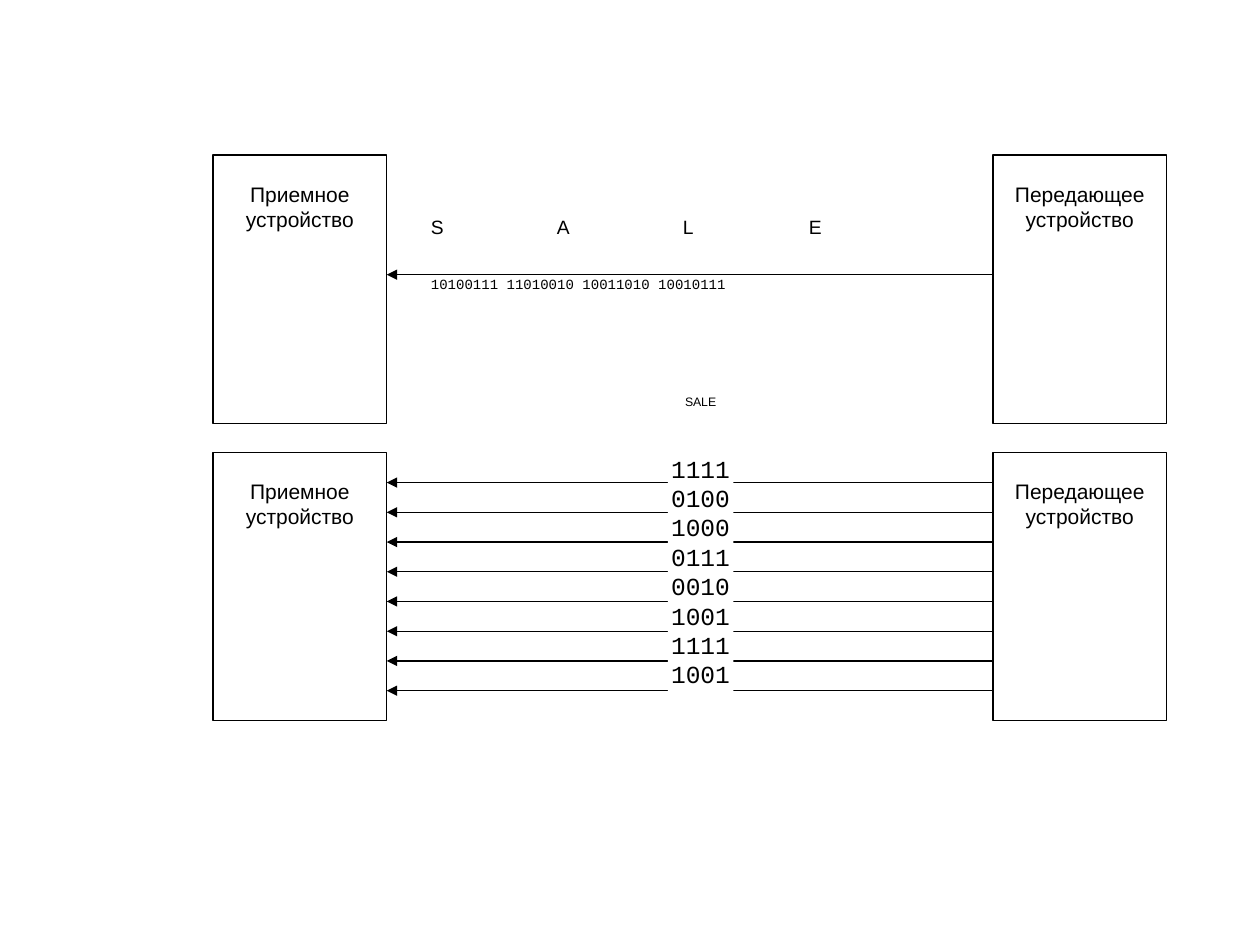
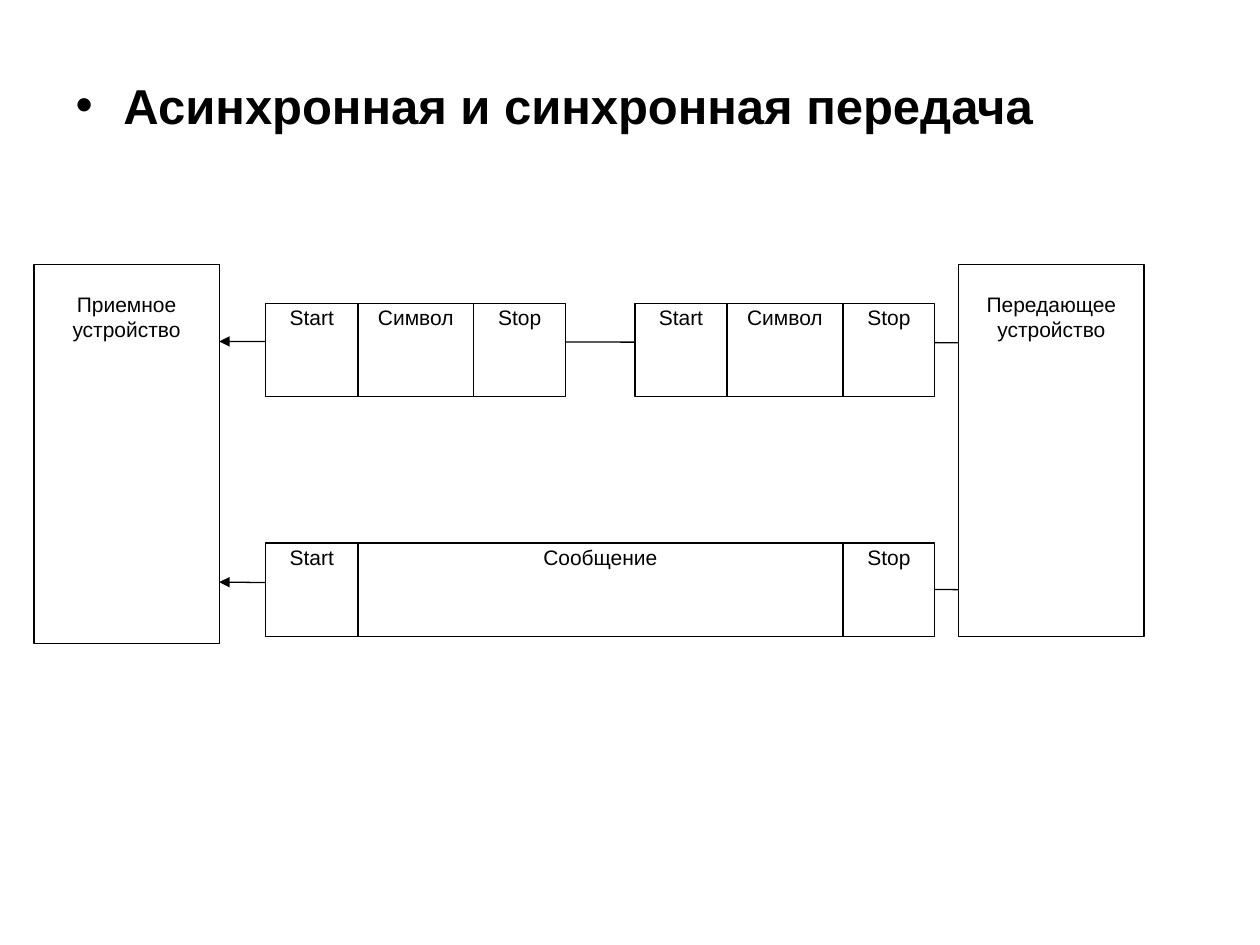
from lxml.etree import SubElement
from pptx import Presentation
from pptx.dml.color import RGBColor
from pptx.enum.shapes import MSO_CONNECTOR, MSO_SHAPE
from pptx.enum.text import MSO_ANCHOR, MSO_AUTO_SIZE, PP_ALIGN
from pptx.oxml.ns import qn
from pptx.util import Inches, Pt

BLACK, WHITE = "000000", "FFFFFF"
RECEIVER, SENDER = "Приемное устройство", "Передающее устройство"
LABEL_TOP = 0.21


def add_box(slide, box, text, size=12, font="Arial", fill=None, line=BLACK,
            align=PP_ALIGN.CENTER, inset_top=0.01):
    """Add a rectangle with top-anchored text; box is left, top, width, height in inches."""
    shape = slide.shapes.add_shape(MSO_SHAPE.RECTANGLE, *map(Inches, box))
    shape.shadow.inherit = False
    for part, colour in ((shape.fill, fill), (shape.line.fill, line)):
        if colour:
            part.solid()
            part.fore_color.rgb = RGBColor.from_string(colour)
        else:
            part.background()
    if line:
        shape.line.width = Pt(0.75)
    frame = shape.text_frame
    frame.word_wrap = True
    frame.vertical_anchor = MSO_ANCHOR.TOP
    frame.margin_left = frame.margin_right = frame.margin_bottom = Inches(0.01)
    frame.margin_top = Inches(inset_top)
    frame.text = text
    for paragraph in frame.paragraphs:
        paragraph.alignment = align
        paragraph.line_spacing = Pt(size * 1.2)
        paragraph.font.size = Pt(size)
        paragraph.font.name = font
        paragraph.font.color.rgb = RGBColor.from_string(BLACK)
    return shape


def add_arrow(slide, left, right, left_y, right_y):
    """Add a line whose arrowhead is at its left end."""
    arrow = slide.shapes.add_connector(
        MSO_CONNECTOR.STRAIGHT, *map(Inches, (left, left_y, right, right_y)))
    arrow.line.color.rgb = RGBColor.from_string(BLACK)
    arrow.line.width = Pt(0.75)
    SubElement(arrow.line._get_or_add_ln(), qn("a:headEnd"), type="triangle")
    SubElement(arrow._element.spPr, qn("a:effectLst"))


prs = Presentation()
prs.slide_width, prs.slide_height = Inches(10), Inches(7.5)

# Slide 1: serial and parallel transfer
transfer = prs.slides.add_slide(prs.slide_layouts[6])
for top in (1.23, 3.59):
    for left, device in ((1.69, RECEIVER), (7.88, SENDER)):
        add_box(transfer, (left, top, 1.38, 2.13), device, inset_top=LABEL_TOP)

add_arrow(transfer, 3.07, 7.88, 2.18, 2.18)
letters = add_box(transfer, (3.41, 1.7, 4.12, 0.47), "S\tA\tL\tE", 11,
                  line=None, align=PP_ALIGN.LEFT)
letters.text_frame.paragraphs[0]._p.get_or_add_pPr().set("defTabSz", str(Inches(1)))
add_box(transfer, (3.41, 2.18, 4.12, 0.47), "10100111 11010010 10011010 10010111",
        8, "Courier New", line=None, align=PP_ALIGN.LEFT)

bit_rows = ["1111", "0100", "1000", "0111", "0010", "1001", "1111", "1001"]
for row in range(len(bit_rows)):
    y = 3.83 + row * 0.236
    add_arrow(transfer, 3.07, 7.88, y, y)
add_box(transfer, (5.3, 3.59, 0.52, 2.13), "\n".join(bit_rows), 14, "Courier New",
        fill=WHITE, line=None)
add_box(transfer, (5.3, 3.12, 0.52, 0.47), "SALE", 7, line=None)

# Slide 2: asynchronous and synchronous transfer
framing = prs.slides.add_slide(prs.slide_layouts[5])
title = framing.shapes.title
title.left, title.top, title.width, title.height = map(Inches, (0.5, 0.52, 9, 0.75))
heading = title.text_frame
heading.text = "Асинхронная и синхронная передача"
heading.vertical_anchor = MSO_ANCHOR.TOP
heading.auto_size = MSO_AUTO_SIZE.NONE
heading.margin_top = Inches(0.08)
line = heading.paragraphs[0]
line.alignment = PP_ALIGN.LEFT
line.line_spacing = Pt(33.6)
line.font.size, line.font.bold, line.font.name = Pt(28), True, "Arial"
line.font.color.rgb = RGBColor.from_string(BLACK)
properties = line._p.get_or_add_pPr()
properties.set("marL", str(Inches(0.38)))
properties.set("indent", str(Inches(-0.38)))
bullet_font = properties.makeelement(qn("a:buFont"), {"typeface": "Arial"})
bullet = properties.makeelement(qn("a:buChar"), {"char": "•"})
properties.find(qn("a:lnSpc")).addnext(bullet_font)
bullet_font.addnext(bullet)

for left, height, device in ((7.61, 2.95, SENDER), (0.27, 3.01, RECEIVER)):
    add_box(framing, (left, 2.1, 1.47, height), device, inset_top=LABEL_TOP)

add_arrow(framing, 1.74, 7.61, 2.71, 2.72)
add_arrow(framing, 1.74, 7.61, 4.62, 4.68)
for left, top, content, content_width in (
        (2.11, 2.41, "Символ", 0.92),
        (5.04, 2.41, "Символ", 0.92),
        (2.11, 4.31, "Сообщение", 3.85)):
    for text, width in (("Start", 0.73), (content, content_width), ("Stop", 0.73)):
        add_box(framing, (left, top, width, 0.74), text, fill=WHITE)
        left += width

prs.save("out.pptx")
